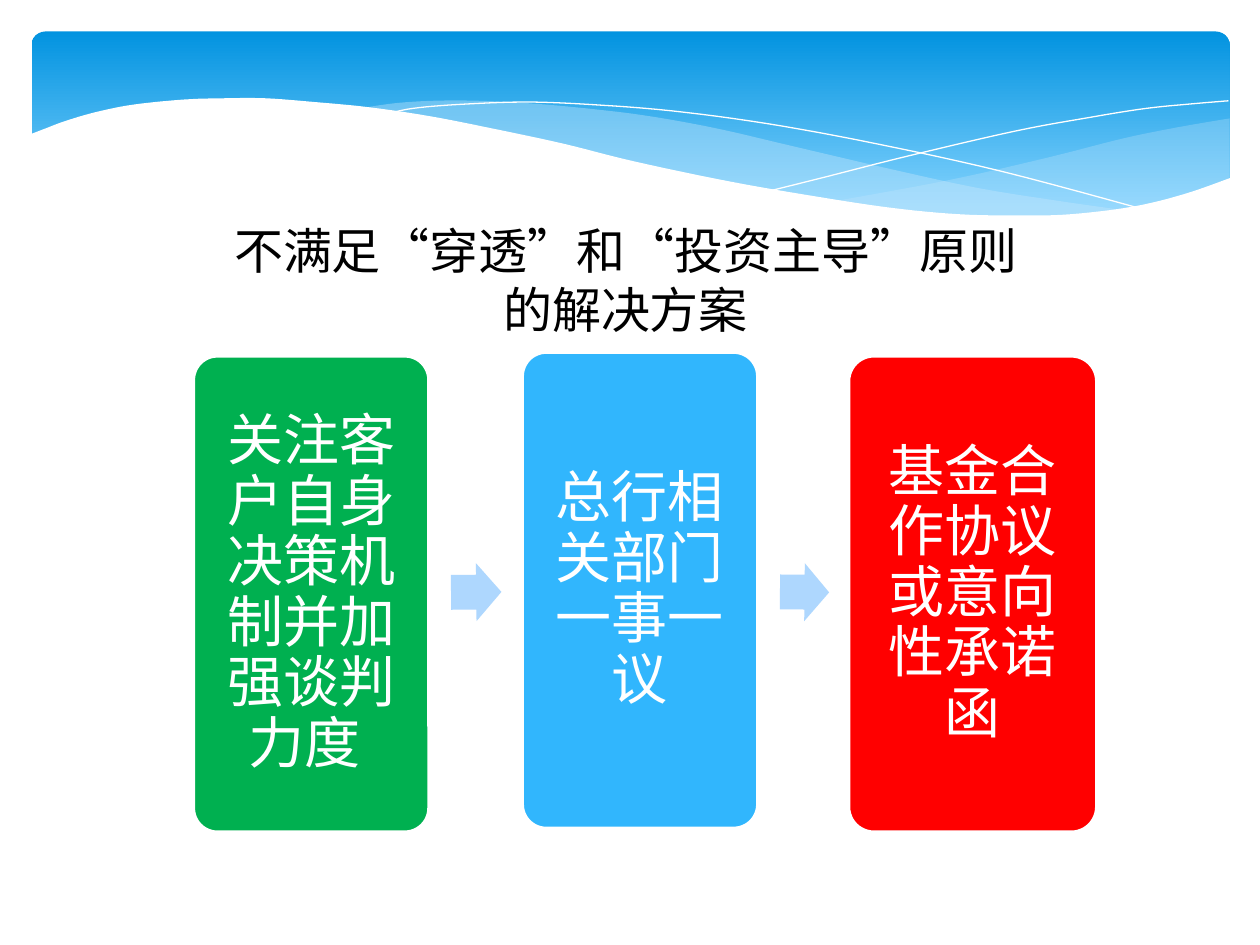
from lxml import etree
from pptx import Presentation
from pptx.dml.color import RGBColor
from pptx.enum.shapes import MSO_SHAPE
from pptx.enum.text import MSO_ANCHOR, MSO_AUTO_SIZE, PP_ALIGN
from pptx.oxml.ns import qn
from pptx.util import Inches, Pt

ROUNDED = MSO_SHAPE.ROUNDED_RECTANGLE
ARROW = MSO_SHAPE.RIGHT_ARROW
MIDDLE = MSO_ANCHOR.MIDDLE
TOP = MSO_ANCHOR.TOP
CENTER = PP_ALIGN.CENTER
NO_AUTOFIT = MSO_AUTO_SIZE.NONE
CJK_FONT = "Noto Sans CJK SC"
CURVE_STEPS = 6


def paint(color_format, value):
    color_format.rgb = RGBColor.from_string(value)


def write(box, text, size, color, anchor=MIDDLE, inset_x=0.1, inset_y=0.05, spacing=1.0):
    frame = box.text_frame
    frame.word_wrap = True
    frame.auto_size = NO_AUTOFIT
    frame.vertical_anchor = anchor
    frame.margin_left = frame.margin_right = Inches(inset_x)
    frame.margin_top = frame.margin_bottom = Inches(inset_y)
    para = frame.paragraphs[0]
    para.alignment = CENTER
    para.line_spacing = spacing
    span = para.add_run()
    span.text = text
    span.font.size = Pt(size)
    span.font.name = CJK_FONT
    paint(span.font.color, color)
    for properties in box.element.iter(qn("a:rPr")):
        etree.SubElement(properties, qn("a:ea"), typeface=CJK_FONT)
    return para


deck = Presentation()
deck.slide_width = Inches(10)
deck.slide_height = Inches(7.5)
page = deck.slides.add_slide(deck.slide_layouts[5])

banner = page.shapes.add_shape(ROUNDED, Inches(0.25), Inches(0.25), Inches(9.51), Inches(1.56))
banner.adjustments[0] = 0.071
banner.shadow.inherit = False
banner.line.fill.background()
banner.fill.gradient()
banner.fill.gradient_angle = 270
for stop, position, color in zip(banner.fill.gradient_stops, (0, 0.9), ("0293E0", "83D3FE")):
    stop.position = position
    paint(stop.color, color)

right_ribbon = [
    [(9.76, 0.94), (9.35, 1.01), (8.91, 1.1), (8.32, 1.25), (7.53, 1.43), (6.61, 1.6)],
    [(6.61, 1.6), (7.05, 1.65), (7.57, 1.7), (8.03, 1.72), (8.44, 1.71), (8.81, 1.67),
     (9.21, 1.6), (9.49, 1.52), (9.76, 1.41)],
]
left_ribbon = [
    [(8.93, 1.67), (8.37, 1.59), (7.75, 1.49), (7.06, 1.34), (6.29, 1.16), (5.69, 1.02),
     (5.14, 0.92), (4.65, 0.86), (4.2, 0.82), (3.8, 0.8), (3.44, 0.8), (3.13, 0.82), (2.86, 0.86)],
    [(2.86, 0.86), (3.42, 0.94), (4.04, 1.06), (4.49, 1.16), (5.3, 1.35), (6.01, 1.5),
     (6.65, 1.61), (7.22, 1.68), (7.73, 1.72), (8.18, 1.73), (8.57, 1.71), (8.93, 1.67)],
]
falling_line = [
    [(3.09, 0.9), (3.28, 0.86), (3.63, 0.83), (4.16, 0.81), (4.69, 0.83), (5.33, 0.88),
     (6.08, 0.98), (6.95, 1.14), (7.95, 1.36), (9.07, 1.66)],
]
rising_line = [
    [(6.13, 1.51), (6.53, 1.41), (7.2, 1.24), (8.06, 1.04), (8.66, 0.93), (9.1, 0.86),
     (9.51, 0.82), (9.75, 0.8)],
]
white_wave = [
    [(9.77, 1.41), (9.4, 1.54), (8.99, 1.64), (8.5, 1.7), (8.09, 1.71), (7.61, 1.7),
     (7.08, 1.65), (6.48, 1.56), (5.79, 1.44), (5.03, 1.28), (4.47, 1.14), (3.91, 1.02),
     (3.4, 0.92), (2.92, 0.85), (2.5, 0.81), (2.11, 0.78), (1.77, 0.78), (1.46, 0.79),
     (1.06, 0.83), (0.76, 0.89), (0.52, 0.96), (0.36, 1.02), (0.23, 1.07)],
    [(0.23, 2.24), (9.77, 2.24)],
]
waves = [
    (right_ribbon, "C6E7FC", 29),
    (left_ribbon, "C6E7FC", 40),
    (falling_line, None, 100),
    (rising_line, None, 100),
    (white_wave, "FFFFFF", 100),
]
for edges, fill, opacity in waves:
    points = []
    for edge in edges:
        padded = [edge[0], *edge, edge[-1]]
        points.append(edge[0])
        for a, b, c, d in zip(padded, padded[1:], padded[2:], padded[3:]):
            for step in range(1, CURVE_STEPS + 1):
                t = step / CURVE_STEPS
                points.append([
                    (2 * q + (r - p) * t + (2 * p - 5 * q + 4 * r - s) * t**2
                     + (3 * q - p - 3 * r + s) * t**3) / 2
                    for p, q, r, s in zip(a, b, c, d)
                ])
    vertices = [(Inches(x), Inches(y)) for x, y in points]
    builder = page.shapes.build_freeform(*vertices[0])
    builder.add_line_segments(vertices[1:], close=fill is not None)
    wave = builder.convert_to_shape()
    wave.shadow.inherit = False
    if fill is None:
        wave.fill.background()
        wave.line.width = Pt(0)
        paint(wave.line.color, "FFFFFF")
        continue
    wave.line.fill.background()
    wave.fill.solid()
    paint(wave.fill.fore_color, fill)
    if opacity < 100:
        for color in wave.element.iter(qn("a:srgbClr")):
            etree.SubElement(color, qn("a:alpha"), val=str(opacity * 1000))

steps = [
    ("关注客户自身决策机制并加强谈判力度", 1.54, 2.83, 1.86, "00B050"),
    ("总行相关部门一事一议", 4.15, 2.8, 1.86, "31B6FD"),
    ("基金合作协议或意向性承诺函", 6.74, 2.83, 1.96, "FF0000"),
]
step_paras = []
for text, left, top, width, color in steps:
    card = page.shapes.add_shape(ROUNDED, Inches(left), Inches(top), Inches(width), Inches(3.77))
    card.adjustments[0] = 0.1
    card.shadow.inherit = False
    card.fill.solid()
    paint(card.fill.fore_color, color)
    card.line.width = Pt(1.25)
    paint(card.line.color, "FFFFFF")
    step_paras.append(write(card, text, 32, "FFFFFF", inset_x=0.08, inset_y=0.08, spacing=0.9))

tab = step_paras[0].add_run()
tab.text = "\t"
tab.font.size = Pt(18)
tab.font.name = "Calibri"

for left, width, rotation in ((3.58, 0.4, 359.4), (6.19, 0.39, 0.6)):
    arrow = page.shapes.add_shape(ARROW, Inches(left), Inches(4.47), Inches(width), Inches(0.46))
    arrow.adjustments[0] = 0.6
    arrow.adjustments[1] = 0.5
    arrow.rotation = rotation
    arrow.shadow.inherit = False
    arrow.fill.solid()
    paint(arrow.fill.fore_color, "AED7FE")
    arrow.line.fill.background()

title = page.shapes.title
title.left, title.top = Inches(1.66), Inches(1.7)
title.width, title.height = Inches(6.61), Inches(1.04)
write(title, "不满足“穿透”和“投资主导”原则的解决方案", 28, "000000", anchor=TOP)
title.element.getparent().append(title.element)

deck.save("out.pptx")
